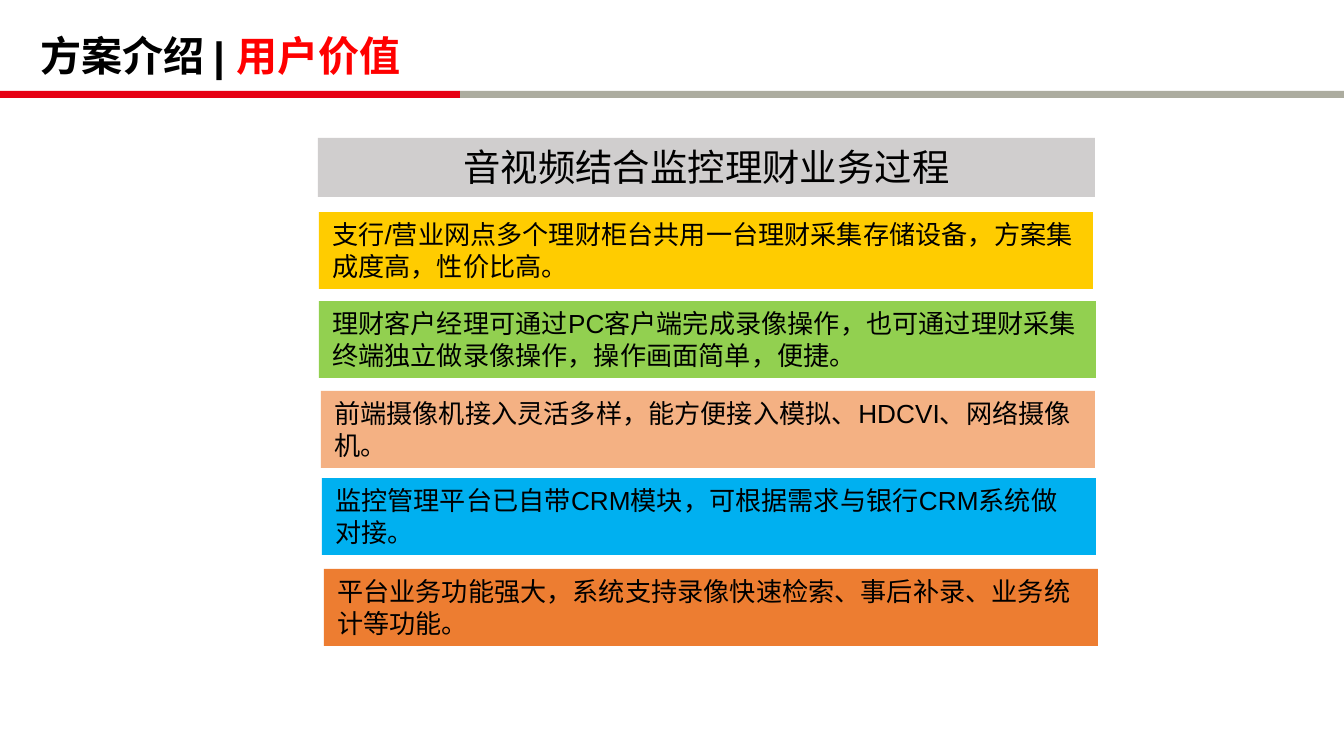
import dataclasses

import pptx
import pptx.dml.color
import pptx.enum.shapes
import pptx.enum.text
import pptx.util

PX = 914400 / 134.4
FONT = "Arial"
COLORS = {
    "black": "000000", "red": "FF0000", "rule_red": "E60013", "rule_gray": "ACAC9F",
    "heading": "D0CECE", "yellow": "FFCC00", "green": "92D050", "peach": "F4B183",
    "blue": "00B0F0", "orange": "ED7D31",
}
ALIGN = pptx.enum.text.PP_ALIGN
ANCHOR = pptx.enum.text.MSO_ANCHOR
BAR_HEIGHT = 77


@dataclasses.dataclass
class Bar:
    left: int
    top: int
    width: int
    height: int
    color: str
    text: str = ""
    size: int = 14
    align: ALIGN = ALIGN.LEFT


def px(length: int) -> int:
    return round(length * PX)


def rgb(name: str) -> pptx.dml.color.RGBColor:
    return pptx.dml.color.RGBColor.from_string(COLORS[name])


def apply_format(target, values: dict) -> None:
    for name, value in values.items():
        setattr(target, name, value)


def add_span(para, text: str, size: int, color: str, bold: bool = False) -> None:
    span = para.add_run()
    span.text = text
    apply_format(span.font, {"name": FONT, "size": pptx.util.Pt(size), "bold": bold})
    span.font.color.rgb = rgb(color)


def add_bar(page, bar: Bar) -> None:
    box = page.shapes.add_shape(
        pptx.enum.shapes.MSO_SHAPE.RECTANGLE,
        px(bar.left), px(bar.top), px(bar.width), px(bar.height))
    box.shadow.inherit = False
    box.fill.solid()
    box.fill.fore_color.rgb = rgb(bar.color)
    box.line.fill.background()
    if bar.text:
        apply_format(box.text_frame, {"word_wrap": True, "vertical_anchor": ANCHOR.TOP})
        para = box.text_frame.paragraphs[0]
        para.alignment = bar.align
        add_span(para, bar.text, bar.size, "black")


def add_title(page) -> None:
    box = page.shapes.add_textbox(px(27), px(25), px(1113), px(67))
    apply_format(box.text_frame, {"word_wrap": True, "vertical_anchor": ANCHOR.MIDDLE})
    para = box.text_frame.paragraphs[0]
    para.line_spacing = 0.9
    add_span(para, "方案介绍 | ", 22, "black", True)
    add_span(para, "用户价值", 22, "red", True)


RULES = [
    Bar(460, 91, 884, 7, "rule_gray"),
    Bar(0, 91, 460, 7, "rule_red"),
]
HEADING = Bar(318, 138, 777, 59, "heading", "音视频结合监控理财业务过程", 20, ALIGN.CENTER)
BENEFITS = [
    Bar(319, 212, 774, BAR_HEIGHT, "yellow",
        "支行/营业网点多个理财柜台共用一台理财采集存储设备，方案集成度高，性价比高。"),
    Bar(319, 301, 777, BAR_HEIGHT, "green",
        "理财客户经理可通过PC客户端完成录像操作，也可通过理财采集终端独立做录像操作，操作画面简单，便捷。"),
    Bar(321, 391, 774, BAR_HEIGHT, "peach",
        "前端摄像机接入灵活多样，能方便接入模拟、HDCVI、网络摄像机。"),
    Bar(322, 478, 774, BAR_HEIGHT, "blue",
        "监控管理平台已自带CRM模块，可根据需求与银行CRM系统做对接。"),
    Bar(324, 569, 774, BAR_HEIGHT, "orange",
        "平台业务功能强大，系统支持录像快速检索、事后补录、业务统计等功能。"),
]


def main() -> None:
    deck = pptx.Presentation()
    apply_format(deck, {"slide_width": px(1344), "slide_height": px(756)})
    page = deck.slides.add_slide(deck.slide_layouts[6])

    # Header rule and title
    for rule in RULES:
        add_bar(page, rule)
    add_title(page)

    # Heading and user benefits
    for bar in [HEADING, *BENEFITS]:
        add_bar(page, bar)

    deck.save("out.pptx")


if __name__ == "__main__":
    main()
